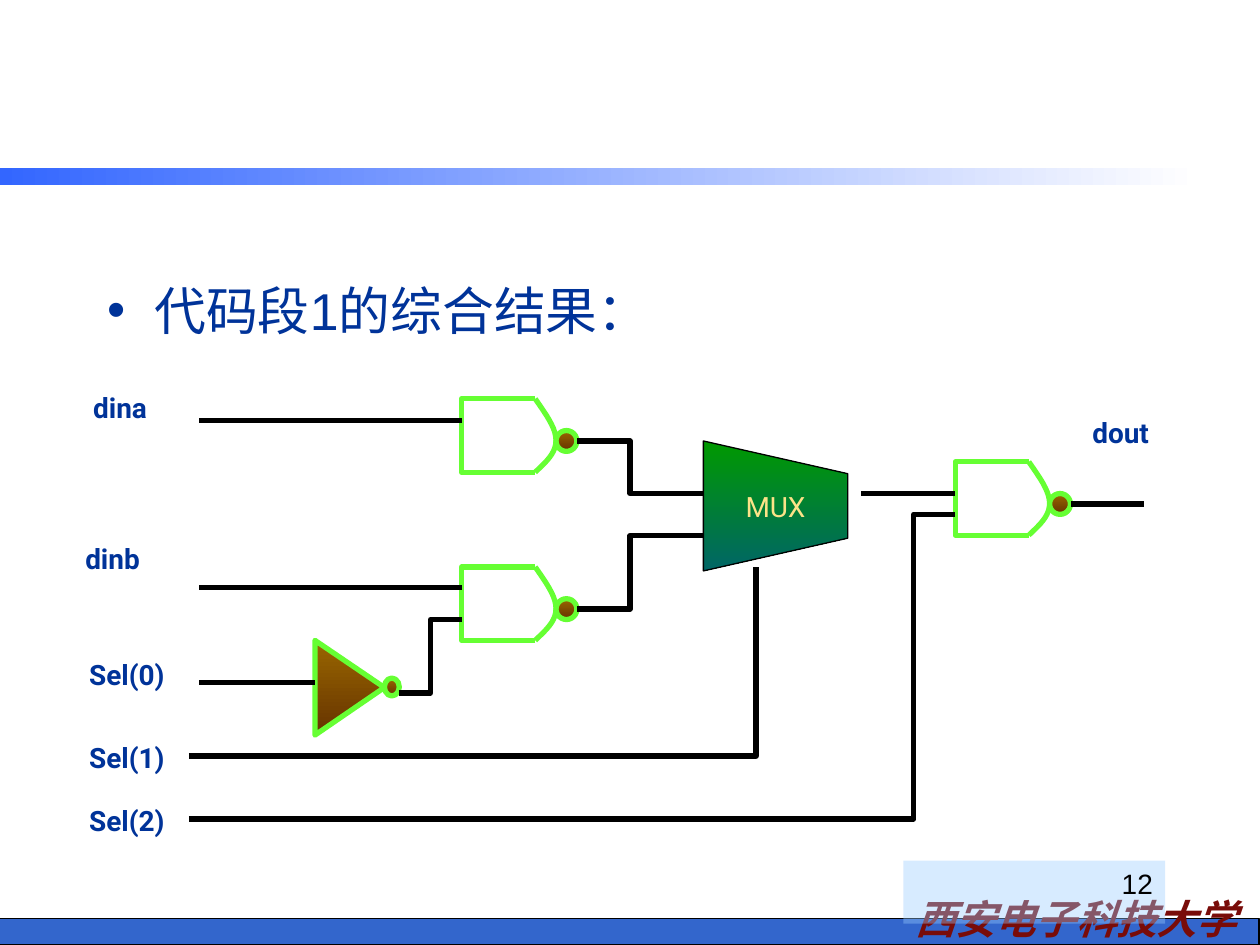
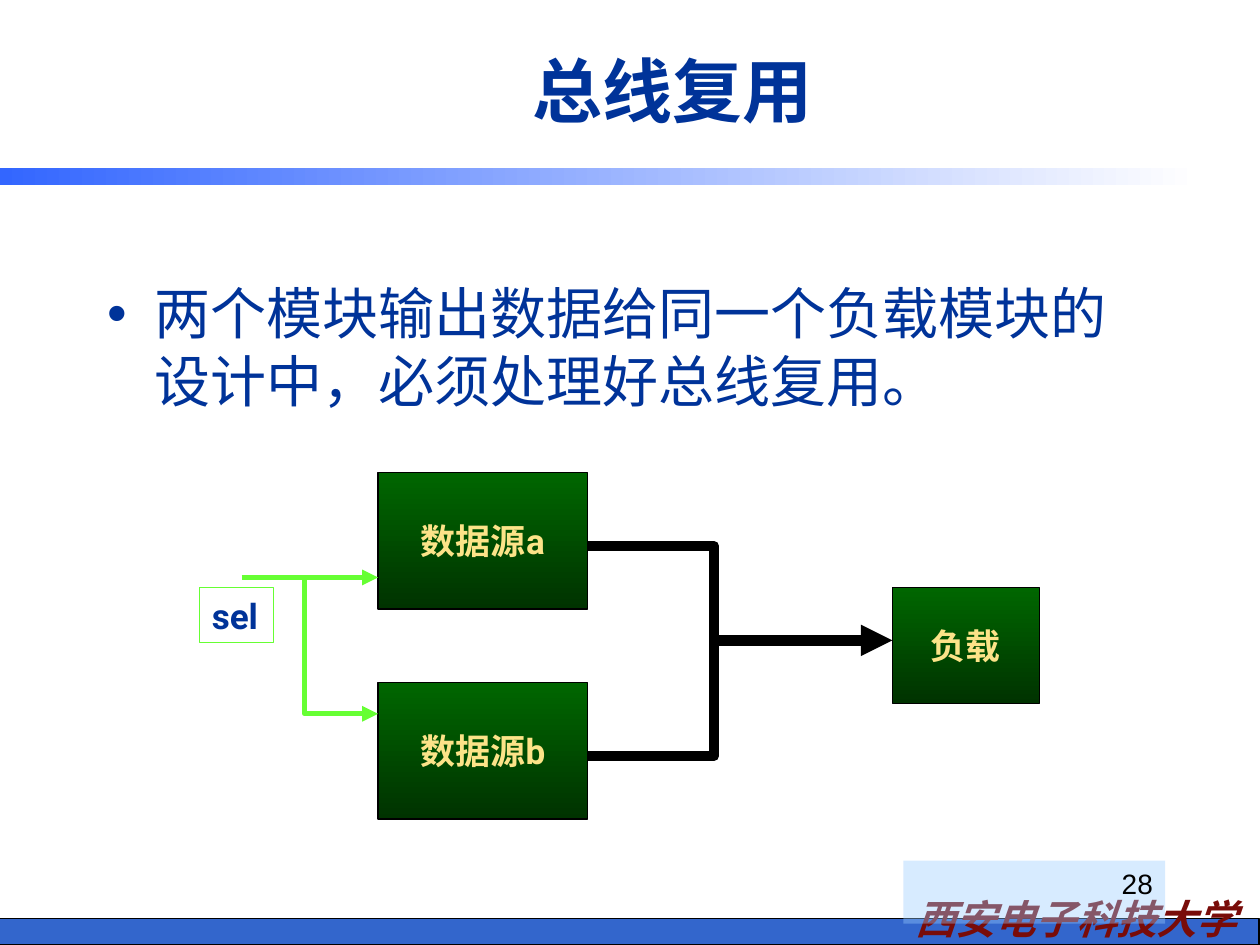
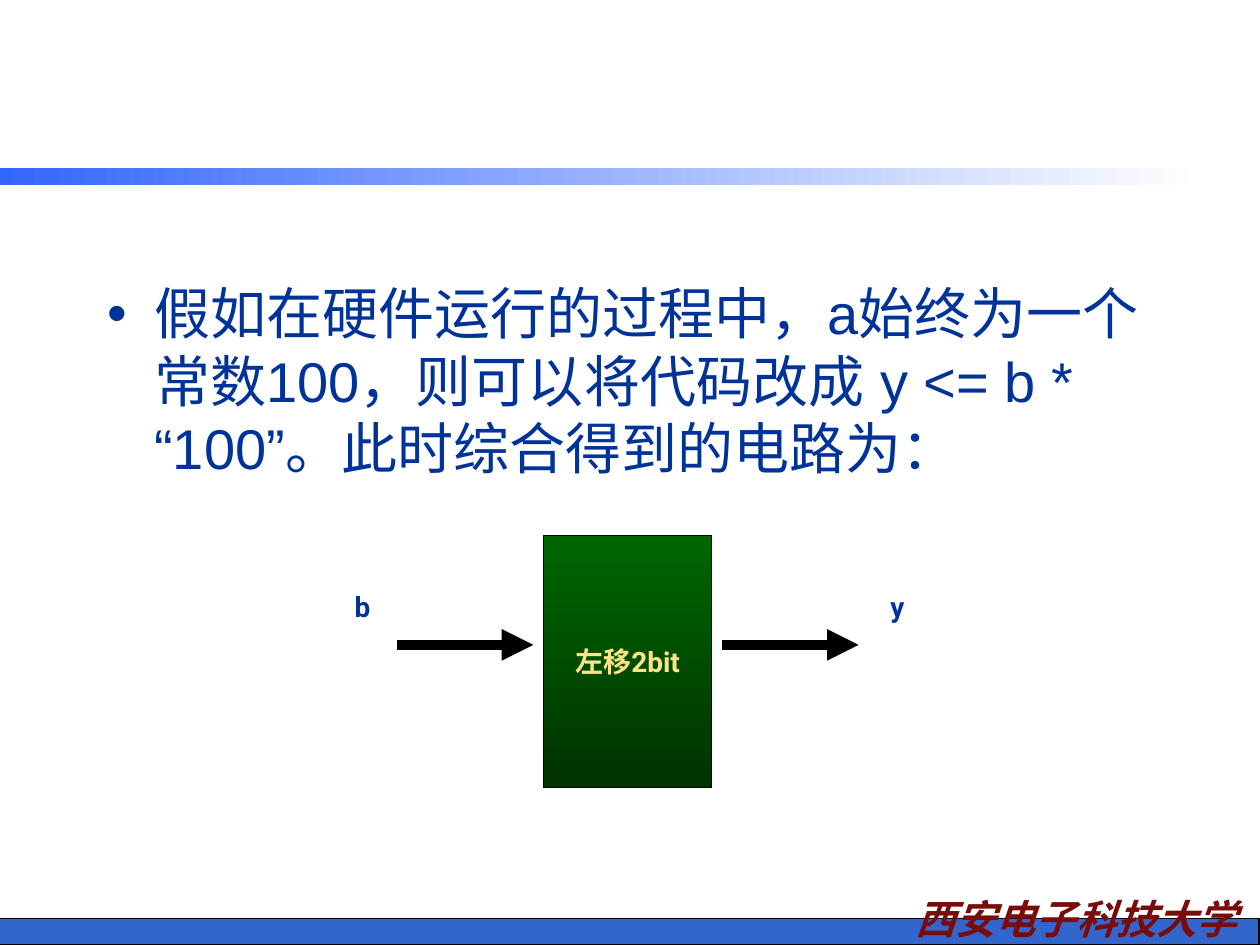
import pptx
import pptx.util
import pptx.dml.color
import pptx.enum.shapes
import pptx.enum.text
import pptx.oxml
import pptx.oxml.ns
from lxml import etree

Cm = pptx.util.Cm
Pt = pptx.util.Pt
Preset = pptx.enum.shapes.MSO_SHAPE
Align = pptx.enum.text.PP_ALIGN
Anchor = pptx.enum.text.MSO_ANCHOR

COLORS = {
    "navy": "003399", "black": "000000", "white": "FFFFFF",
    "footer": "3366CC", "band": "3366FF", "school": "790C09",
    "number": "99CCFF", "cream": "FCE388", "lime": "66FF33",
    "mux_top": "009900", "mux_bottom": "006666",
    "block_top": "006600", "block_bottom": "003300",
    "gate_top": "996600", "gate_bottom": "663300",
}
BLOCK = ("block_top", "block_bottom")
GATE = ("gate_top", "gate_bottom")


def color(name):
    return pptx.dml.color.RGBColor.from_string(COLORS[name])


def add_element(parent, tag, **attributes):
    return etree.SubElement(parent, pptx.oxml.ns.qn(tag), attributes)


def write(frame, text, size=16, font="Roboto", ink="navy", bold=False, italic=False,
          align=Align.LEFT, anchor=Anchor.TOP, wrap=False, bullet=False):
    frame.word_wrap = wrap
    frame.vertical_anchor = anchor
    para = frame.paragraphs[0]
    para.alignment = align
    if bullet:
        properties = para._p.get_or_add_pPr()
        properties.set("marL", str(Cm(0.95)))
        properties.set("indent", str(-Cm(0.95)))
        add_element(add_element(properties, "a:buClr"), "a:srgbClr", val=COLORS[ink])
        add_element(properties, "a:buFont", typeface=font)
        add_element(properties, "a:buChar", char="•")
    span = para.add_run()
    span.text = text
    span.font.size = Pt(size)
    span.font.name = font
    span.font.bold = bold
    span.font.italic = italic
    span.font.color.rgb = color(ink)
    add_element(span._r.get_or_add_rPr(), "a:ea", typeface=font)


def curve_points(start, first, second, end, steps=10):
    points = []
    for step in range(steps + 1):
        t = step / steps
        weights = ((1 - t) ** 3, 3 * t * (1 - t) ** 2, 3 * t ** 2 * (1 - t), t ** 3)
        points.append(tuple(sum(weight * point[axis] for weight, point
                                in zip(weights, (start, first, second, end)))
                            for axis in (0, 1)))
    return points


class Painter:
    def __init__(self):
        self.deck = pptx.Presentation()
        self.deck.slide_width = Cm(25.4)
        self.deck.slide_height = Cm(19.05)
        self.page = None

    def new_page(self, number=None):
        self.page = self.deck.slides.add_slide(self.deck.slide_layouts[6])
        self.shape(-0.02, 18.52, 25.4, 0.53, fill="footer", line="black")
        self.text(17.7, 17.91, 8, 1.24, "西安电子科技大学", size=23, font="Noto Sans CJK SC",
                  ink="school", bold=True, italic=True, align=Align.CENTER, wrap=True)
        self.shape(0, 3.38, 24.16, 0.36, fill=("band", "white"), angle=0)
        if number:
            box = self.shape(18.21, 17.35, 5.28, 1.27, fill="number")
            shade = box.fill._xPr.find(".//" + pptx.oxml.ns.qn("a:srgbClr"))
            add_element(shade, "a:alpha", val="39000")
            write(box.text_frame, number, font="Arial", ink="black",
                  align=Align.RIGHT, wrap=True)

    def paint(self, shape, fill=None, line=None, width=0.75, angle=270):
        shape.shadow.inherit = False
        if isinstance(fill, tuple):
            shape.fill.gradient()
            shape.fill.gradient_angle = angle
            for stop, name in zip(shape.fill.gradient_stops, fill):
                stop.color.rgb = color(name)
        elif fill:
            shape.fill.solid()
            shape.fill.fore_color.rgb = color(fill)
        else:
            shape.fill.background()
        if line:
            self.stroke(shape, line, width)
        else:
            shape.line.fill.background()

    def stroke(self, item, ink, width, arrow=False):
        item.line.color.rgb = color(ink)
        item.line.width = Pt(width)
        outline = item.line._get_or_add_ln()
        add_element(outline, "a:round")
        if arrow:
            add_element(outline, "a:tailEnd", type="triangle")

    def shape(self, left, top, width, height, preset=Preset.RECTANGLE, weight=0.75, **style):
        box = self.page.shapes.add_shape(preset, Cm(left), Cm(top), Cm(width), Cm(height))
        self.paint(box, width=weight, **style)
        return box

    def text(self, left, top, width, height, text, **style):
        box = self.page.shapes.add_textbox(Cm(left), Cm(top), Cm(width), Cm(height))
        write(box.text_frame, text, **style)

    def title(self, text):
        self.text(3.39, 0.42, 20.32, 2.75, text, size=40, font="Arial", bold=True,
                  align=Align.CENTER, anchor=Anchor.MIDDLE, wrap=True)

    def body(self, text, width, height, size=32):
        self.text(1.91, 5.5, width, height, text, size=size, font="Arial",
                  wrap=True, bullet=True)

    def label(self, left, top, width, text):
        self.text(left, top, width, 0.94, text, bold=True)

    def block(self, left, top, width, height, text, size=20):
        box = self.shape(left, top, width, height, fill=BLOCK, line="black")
        write(box.text_frame, text, size=size, ink="cream", bold=True,
              align=Align.CENTER, anchor=Anchor.MIDDLE)

    def outline(self, points, close=False):
        start, *rest = [(Cm(x), Cm(y)) for x, y in points]
        builder = self.page.shapes.build_freeform(*start)
        builder.add_line_segments(rest, close=close)
        return builder.convert_to_shape()

    def wire(self, *points, ink="black", width=3, arrow=False):
        if len(points) == 2:
            ends = [Cm(value) for point in points for value in point]
            line = self.page.shapes.add_connector(
                pptx.enum.shapes.MSO_CONNECTOR.STRAIGHT, *ends)
            self.stroke(line, ink, width, arrow)
            add_element(line._element.spPr, "a:effectLst")
        else:
            line = self.outline(points)
            self.paint(line)
            self.stroke(line, ink, width, arrow)

    def bubble(self, left, top, width, height):
        self.shape(left, top, width, height, preset=Preset.OVAL, fill=GATE,
                   line="lime", weight=3)

    def nand_gate(self, left, top):
        side, nose = 1.48, 0.42
        shoulder, bottom = left + side, top + side
        tip = (shoulder + nose, top + 0.84)
        upper = curve_points((shoulder, top), (shoulder + 0.2, top + 0.29),
                             (tip[0], top + 0.58), tip)
        lower = curve_points(tip, (tip[0], top + 1.1), (shoulder + 0.21, top + 1.28),
                             (shoulder, bottom))
        self.wire((shoulder, top), (left, top), (left, bottom), (shoulder, bottom), ink="lime")
        self.wire(*upper, *lower[1:], ink="lime")
        self.bubble(tip[0], top + 0.64, nose, nose)

    def inverter(self, left, top):
        triangle = self.outline([(left, top), (left, top + 1.91), (left + 1.4, top + 0.95)],
                                close=True)
        self.paint(triangle, fill=GATE, line="lime", width=3)
        self.bubble(left + 1.4, top + 0.76, 0.3, 0.36)

    def mux(self, left, top):
        right = left + 2.91
        body = self.outline([(left, top), (right, top + 0.66), (right, top + 1.96),
                             (left, top + 2.62)], close=True)
        self.paint(body, fill=("mux_top", "mux_bottom"), line="black")
        write(body.text_frame, "MUX", ink="cream", align=Align.CENTER, anchor=Anchor.MIDDLE)


def circuit_page(painter):
    painter.new_page("12")
    painter.body("代码段1的综合结果：", 12.8, 2.54, size=29.6)
    painter.mux(14.18, 8.89)
    for left, top in ((9.31, 8.04), (19.26, 9.31), (9.31, 11.43)):
        painter.nand_gate(left, top)
    painter.inverter(6.35, 12.91)
    for wire in (
        ((4.02, 8.47), (9.31, 8.47)),
        ((4.02, 11.85), (9.31, 11.85)),
        ((4.02, 13.76), (6.35, 13.76)),
        ((8.04, 13.97), (8.68, 13.97), (8.68, 12.49), (9.31, 12.49)),
        ((11.64, 8.89), (12.7, 8.89), (12.7, 9.95), (14.18, 9.95)),
        ((11.64, 12.28), (12.7, 12.28), (12.7, 10.8), (14.18, 10.8)),
        ((3.81, 15.24), (15.24, 15.24), (15.24, 11.43)),
        ((3.81, 16.51), (18.42, 16.51), (18.42, 10.37), (19.26, 10.37)),
        ((17.36, 9.95), (19.26, 9.95)),
        ((21.59, 10.16), (23.07, 10.16)),
    ):
        painter.wire(*wire)
    for left, top, width, name in (
        (21.77, 8.26, 1.83, "dout"), (1.63, 7.75, 1.75, "dina"), (1.47, 10.8, 1.75, "dinb"),
        (1.55, 13.13, 2.03, "Sel(0)"), (1.55, 14.81, 2.03, "Sel(1)"),
        (1.55, 16.08, 2.03, "Sel(2)"),
    ):
        painter.label(left, top, width, name)


def bus_page(painter):
    painter.new_page("28")
    painter.title("总线复用")
    painter.body("两个模块输出数据给同一个负载模块的设计中，必须处理好总线复用。", 21.59, 4.02)
    for top, name in ((9.53, "数据源a"), (13.76, "数据源b")):
        painter.block(7.62, top, 4.23, 2.75, name)
    painter.block(17.99, 11.85, 2.97, 2.33, "负载")
    painter.wire((11.85, 11.01), (14.39, 11.01), (14.39, 12.91), (17.99, 12.91),
                 width=6, arrow=True)
    painter.wire((11.85, 15.24), (14.39, 15.24), (14.39, 12.7), width=6)
    painter.wire((4.87, 11.64), (7.62, 11.64), ink="lime", arrow=True)
    painter.wire((6.14, 11.64), (6.14, 14.39), (7.62, 14.39), ink="lime", arrow=True)
    select = painter.shape(4.02, 11.85, 1.49, 1.11, line="lime")
    write(select.text_frame, "sel", size=20, bold=True)


def shift_page(painter):
    painter.new_page()
    painter.body("假如在硬件运行的过程中，a始终为一个常数100，则可以将代码改成 y <= b * “100”。"
                 "此时综合得到的电路为：", 21.59, 4.66)
    painter.block(10.96, 10.8, 3.39, 5.08, "左移2bit", size=16)
    for left in (8, 14.56):
        painter.wire((left, 13), (left + 2.75, 13), width=6, arrow=True)
    painter.label(6.9, 11.76, 0.86, "b")
    painter.label(17.7, 11.76, 0.82, "y")


def main():
    painter = Painter()
    circuit_page(painter)
    bus_page(painter)
    shift_page(painter)
    painter.deck.save("out.pptx")


if __name__ == "__main__":
    main()
